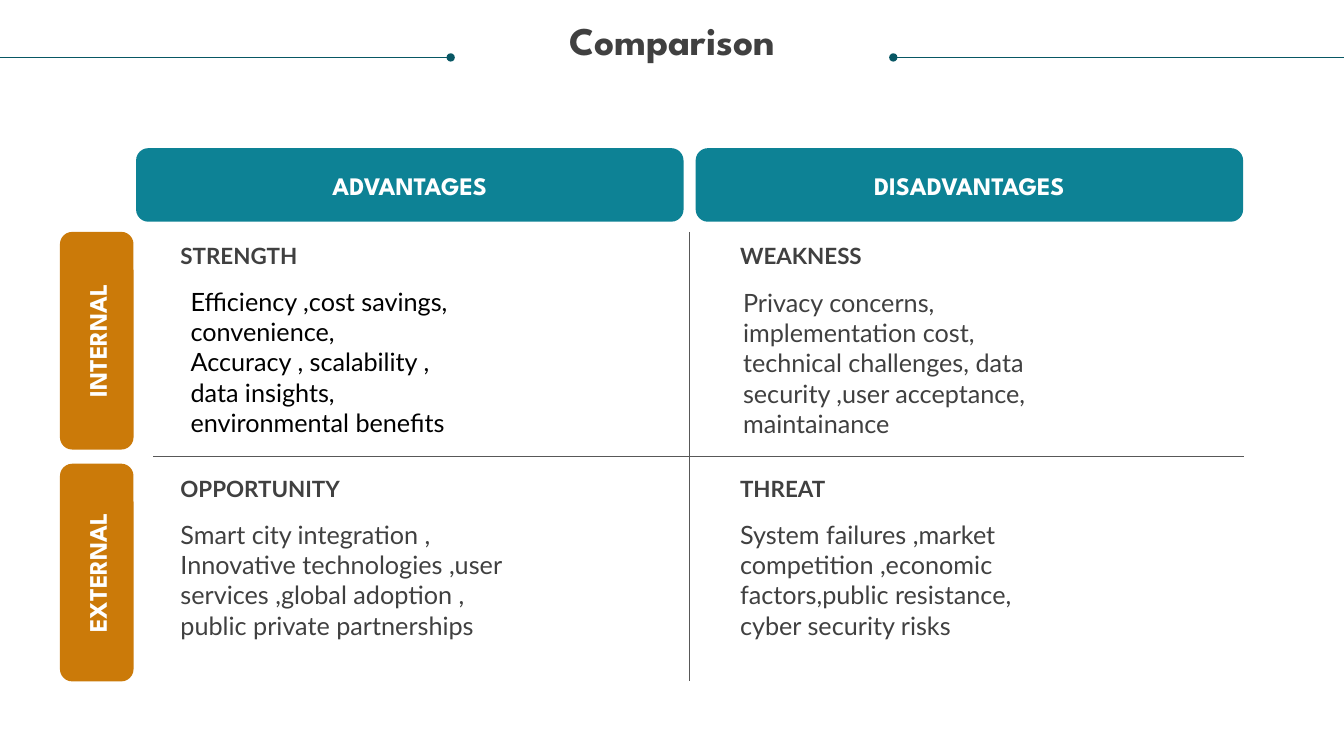
from lxml import etree
from pptx import Presentation
from pptx.dml.color import RGBColor
from pptx.enum import shapes, text
from pptx.oxml import ns
from pptx.util import Inches, Pt

TITLE = "Comparison"
COLUMNS = ["ADVANTAGES", "DISADVANTAGES"]
ROWS = ["INTERNAL", "EXTERNAL"]
QUADRANTS = [
    [
        ("STRENGTH", "ink", (1.89, 2.84, 2.75, 1.52),
         ["Efficiency ,cost savings, convenience,",
          "Accuracy , scalability , data insights, environmental benefits"]),
        ("WEAKNESS", "body", (7.37, 2.85, 3.13, 1.51),
         ["Privacy concerns, implementation cost, technical challenges, "
          "data security ,user acceptance, maintainance"]),
    ],
    [
        ("OPPORTUNITY", "body", (1.79, 5.15, 3.21, 1.21),
         ["Smart city integration , Innovative technologies ,user services "
          ",global adoption , public private partnerships"]),
        ("THREAT", "body", (7.34, 5.15, 3.1, 1.21),
         ["System failures ,market competition ,economic "
          "factors,public resistance, cyber security risks"]),
    ],
]
COLORS = {"ink": "000000", "body": "404040", "white": "FFFFFF", "teal": "0D8295",
          "orange": "CB7A09", "accent": "085764", "rule": "585858"}
HEADING_FONT, BODY_FONT = "League Spartan", "Lato"

PAGE_WIDTH, PAGE_HEIGHT = 13.33, 7.5
COLUMN_LEFT, COLUMN_STEP, COLUMN_WIDTH = 1.35, 5.55, 5.43
COLUMN_TOP, BAR_THICKNESS = 1.47, 0.73
ROW_TOP, ROW_STEP, ROW_HEIGHT, ROW_CENTER = 2.3, 2.3, 2.16, 0.96
HEADING_LEFT, HEADING_TOP, HEADING_STEP = 1.79, 2.4, 2.31

deck = Presentation()
deck.slide_width, deck.slide_height = Inches(PAGE_WIDTH), Inches(PAGE_HEIGHT)
page = deck.slides.add_slide(deck.slide_layouts[6])


def color(name):
    return RGBColor.from_string(COLORS[name])


def write(frame, lines, font, size, tint, bold=False, align=text.PP_ALIGN.LEFT):
    frame.word_wrap = True
    for index, line in enumerate(lines):
        para = frame.add_paragraph() if index else frame.paragraphs[0]
        para.text = line
        para.alignment = align
        para.font.name = font
        para.font.size = Pt(size)
        para.font.bold = bold
        para.font.color.rgb = color(tint)


def add_text(place, *style, **options):
    frame = page.shapes.add_textbox(*map(Inches, place)).text_frame
    frame.margin_left = frame.margin_right = frame.margin_top = frame.margin_bottom = 0
    write(frame, *style, **options)
    return frame


def add_bar(label, place, fill, rotation=0):
    bar = page.shapes.add_shape(shapes.MSO_SHAPE.ROUNDED_RECTANGLE, *map(Inches, place))
    bar.rotation = rotation
    bar.shadow.inherit = False
    bar.fill.solid()
    bar.fill.fore_color.rgb = color(fill)
    bar.line.fill.background()
    bar.text_frame.vertical_anchor = text.MSO_ANCHOR.MIDDLE
    write(bar.text_frame, [label], HEADING_FONT, 18, "white", True, text.PP_ALIGN.CENTER)


def add_line(ends, tint, dot=False):
    line = page.shapes.add_connector(shapes.MSO_CONNECTOR.STRAIGHT, *map(Inches, ends))
    line.line.color.rgb = color(tint)
    line.line.width = Pt(0.5)
    if dot:
        etree.SubElement(line.line._get_or_add_ln(), ns.qn("a:tailEnd"), type="oval")
    etree.SubElement(line._element.spPr, ns.qn("a:effectLst"))


add_line((PAGE_WIDTH, 0.57, 8.86, 0.57), "accent", dot=True)
add_line((0, 0.57, 4.47, 0.57), "accent", dot=True)
title = add_text((0.25, 0.21, 12.83, 0.73), [TITLE], HEADING_FONT, 28, "body",
                 bold=True, align=text.PP_ALIGN.CENTER)
title.paragraphs[0].line_spacing = 0.9

for column, label in enumerate(COLUMNS):
    left = COLUMN_LEFT + column * COLUMN_STEP
    add_bar(label, (left, COLUMN_TOP, COLUMN_WIDTH, BAR_THICKNESS), "teal")

for row, label in enumerate(ROWS):
    middle = ROW_TOP + row * ROW_STEP + ROW_HEIGHT / 2
    add_bar(label, (ROW_CENTER - ROW_HEIGHT / 2, middle - BAR_THICKNESS / 2,
                    ROW_HEIGHT, BAR_THICKNESS), "orange", rotation=270)

add_line((1.52, 4.53, 12.34, 4.53), "rule")
add_line((6.84, 2.3, 6.84, 6.76), "rule")

for row, quadrants in enumerate(QUADRANTS):
    for column, (heading, tint, place, lines) in enumerate(quadrants):
        left = HEADING_LEFT + column * COLUMN_STEP
        top = HEADING_TOP + row * HEADING_STEP
        add_text((left, top, 4.55, 0.27), [heading], BODY_FONT, 16, "body", bold=True)
        add_text(place, lines, BODY_FONT, 18, tint)

deck.save("out.pptx")
